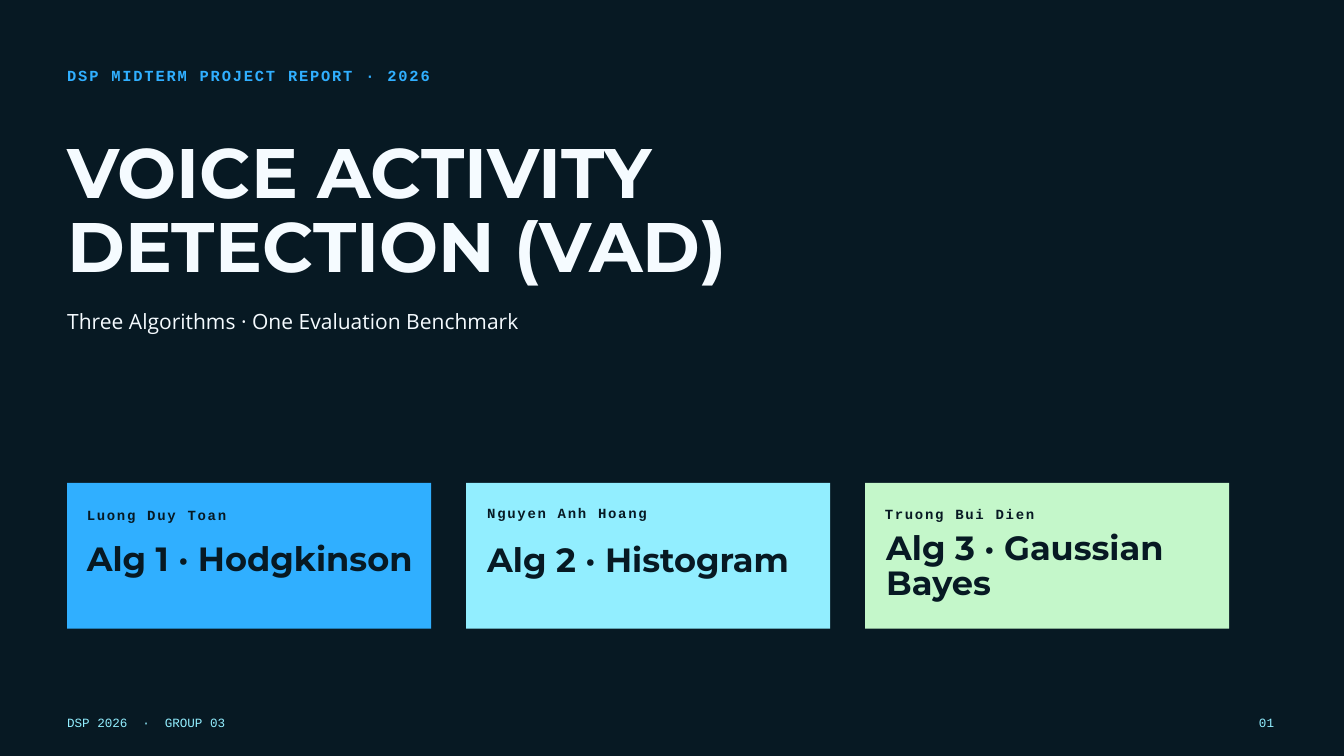
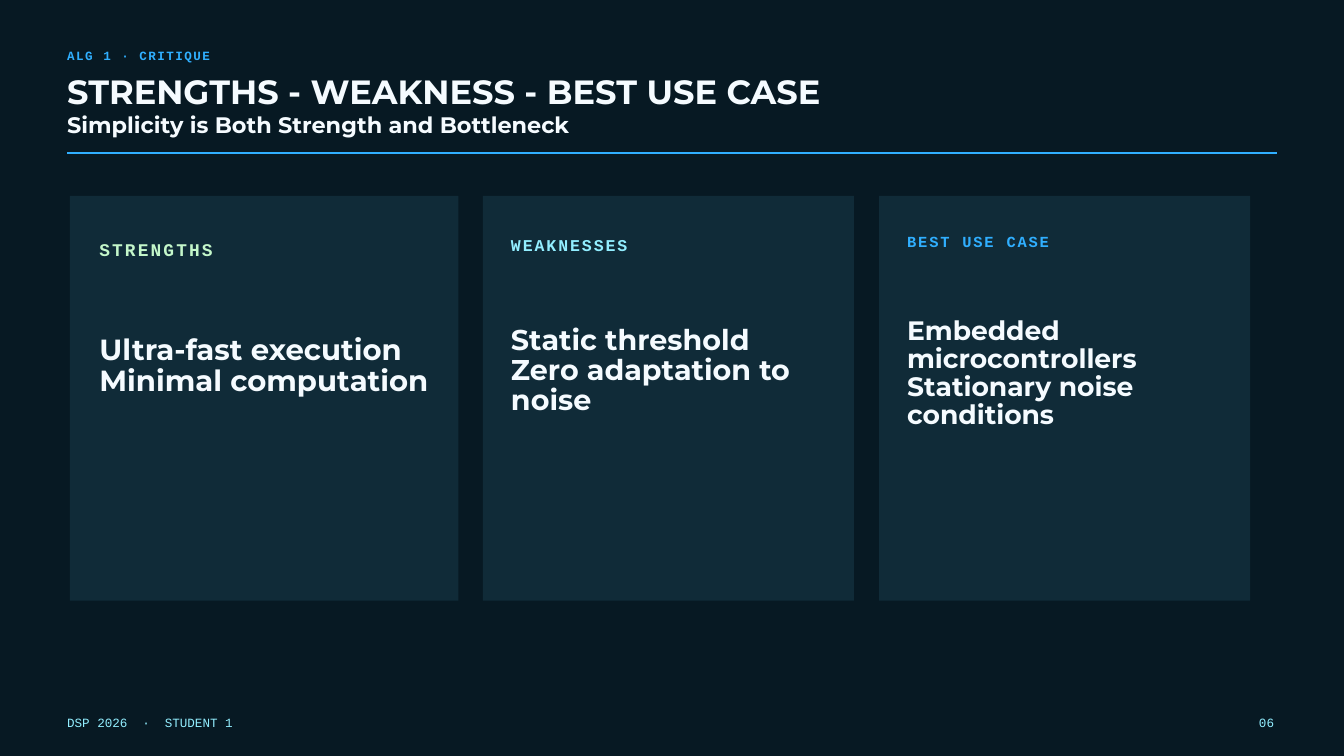
from dataclasses import dataclass

from lxml import etree
from pptx import Presentation
from pptx import util as u
from pptx.dml.color import RGBColor
from pptx.enum import shapes, text
from pptx.oxml.ns import qn

PX = 9525
WIDTH, HEIGHT = 1920, 1080
MARGIN = 96

NIGHT, PANEL, WHITE = "071923", "102B38", "F5FBFF"
BLUE, CYAN, MINT = "30AFFF", "92EEFF", "C4F7CA"

STYLES = {
    "label": {"name": "Courier New", "bold": True, "leading": 1.4, "tracking": 0.12},
    "heading": {"name": "Montserrat", "bold": True, "leading": 1.05, "tracking": 0},
    "body": {"name": "Open Sans", "bold": False, "leading": 1.3, "tracking": 0},
    "footer": {"name": "Courier New", "bold": False, "leading": 1.25, "tracking": 0},
}


@dataclass
class Card:
    left: int
    width: int
    fill: str
    ink: str
    label: str
    label_at: tuple
    label_width: int
    label_size: float
    label_colour: str
    lines: list
    lines_at: tuple
    lines_width: int
    lines_size: float
    rows: int


def px(value):
    return u.Emu(round(value * PX))


def colour(value):
    return RGBColor.from_string(value)


def apply(target, values):
    for name, value in values.items():
        setattr(target, name, value)


def write(box, place, lines, style, size, ink, rows=None, align=text.PP_ALIGN.LEFT):
    look = STYLES[style]
    left, top, width = place
    height = (rows or len(lines)) * size * look["leading"] * 4 / 3
    apply(box, {"left": px(left), "top": px(top), "width": px(width), "height": px(height)})
    frame = box.text_frame
    apply(frame, {
        "margin_left": 0, "margin_top": 0, "margin_right": 0, "margin_bottom": 0,
        "word_wrap": True,
        "auto_size": text.MSO_AUTO_SIZE.SHAPE_TO_FIT_TEXT,
        "vertical_anchor": text.MSO_ANCHOR.TOP,
    })
    for index, line in enumerate(lines):
        para = frame.add_paragraph() if index else frame.paragraphs[0]
        apply(para, {"alignment": align, "line_spacing": u.Pt(size * look["leading"])})
        span = para.add_run()
        span.text = line
        apply(span.font, {"name": look["name"], "bold": look["bold"], "size": u.Pt(size)})
        span.font.color.rgb = colour(ink)
        if look["tracking"]:
            span.font._element.set("spc", str(round(size * look["tracking"] * 100)))


def add_text(page, place, *args, **options):
    write(page.shapes.add_textbox(0, 0, 0, 0), place, *args, **options)


def add_card(page, card, top, height):
    panel = page.shapes.add_shape(
        shapes.MSO_SHAPE.RECTANGLE, px(card.left), px(top), px(card.width), px(height))
    panel.shadow.inherit = False
    panel.fill.solid()
    panel.fill.fore_color.rgb = colour(card.fill)
    panel.line.fill.background()
    dx, dy = card.label_at
    add_text(page, (card.left + dx, top + dy, card.label_width),
             [card.label], "label", card.label_size, card.label_colour)
    dx, dy = card.lines_at
    add_text(page, (card.left + dx, top + dy, card.lines_width),
             card.lines, "heading", card.lines_size, card.ink, rows=card.rows)


def add_rule(page, left, right, y):
    rule = page.shapes.add_connector(
        shapes.MSO_CONNECTOR.STRAIGHT, px(left), px(y), px(right), px(y))
    rule.line.color.rgb = colour(BLUE)
    rule.line.width = u.Pt(2)
    etree.SubElement(rule._element.spPr, qn("a:effectLst"))


def add_footer(page, section, number):
    top = 1021
    add_text(page, (MARGIN, top, 900), [f"DSP 2026  ·  {section}"], "footer", 13.5, CYAN)
    add_text(page, (1740, top, 80), [number], "footer", 13.5, CYAN,
             align=text.PP_ALIGN.RIGHT)


def new_page(deck):
    return deck.slides.add_slide(deck.slide_layouts[5])


def build_cover(deck):
    page = new_page(deck)
    add_text(page, (MARGIN, 90, 800), ["DSP MIDTERM PROJECT REPORT · 2026"],
             "label", 16.5, BLUE)
    write(page.shapes.title, (MARGIN, 199, 980),
          ["VOICE ACTIVITY", "DETECTION (VAD)"], "heading", 75, WHITE)
    add_text(page, (MARGIN, 438, 800), ["Three Algorithms · One Evaluation Benchmark"],
             "body", 22.5, WHITE)
    algorithms = [
        (BLUE, "Luong Duy Toan", (28, 30), 209, "Alg 1 · Hodgkinson", (28, 86), 468, 1),
        (CYAN, "Nguyen Anh Hoang", (30, 27), 237, "Alg 2 · Histogram", (30, 87), 460, 1),
        (MINT, "Truong Bui Dien", (28, 28), 223, "Alg 3 · Gaussian Bayes", (30, 70), 460, 2),
    ]
    for index, (fill, author, author_at, author_width,
                name, name_at, name_width, rows) in enumerate(algorithms):
        card = Card(MARGIN + index * 570, 520, fill, NIGHT,
                    author, author_at, author_width, 15, NIGHT,
                    [name], name_at, name_width, 36, rows)
        add_card(page, card, 690, 208)
    add_footer(page, "GROUP 03", "01")


def build_critique(deck):
    page = new_page(deck)
    add_text(page, (MARGIN, 65, 260), ["ALG 1 · CRITIQUE"], "label", 13.5, BLUE)
    write(page.shapes.title, (MARGIN, 108, 1500),
          ["STRENGTHS - WEAKNESS - BEST USE CASE"], "heading", 36, WHITE)
    add_rule(page, MARGIN, WIDTH - MARGIN, 218)
    add_text(page, (MARGIN, 164, 1500), ["Simplicity is Both Strength and Bottleneck"],
             "heading", 24, WHITE)
    points = [
        (100, 555, "STRENGTHS", (42, 56), 19.1, MINT,
         ["Ultra-fast execution", "Minimal computation"], 200, 471, 31.2, 2),
        (690, 530, "WEAKNESSES", (40, 51), 17.7, CYAN,
         ["Static threshold", "Zero adaptation to noise"], 186, 450, 30.6, 3),
        (1256, 530, "BEST USE CASE", (40, 47), 16.5, BLUE,
         ["Embedded microcontrollers", "Stationary noise conditions"], 174, 450, 28.5, 4),
    ]
    for (left, width, label, label_at, label_size, accent,
         lines, lines_top, lines_width, lines_size, rows) in points:
        card = Card(left, width, PANEL, WHITE,
                    label, label_at, lines_width, label_size, accent,
                    lines, (label_at[0], lines_top), lines_width, lines_size, rows)
        add_card(page, card, 280, 578)
    add_footer(page, "STUDENT 1", "06")


def main():
    deck = Presentation()
    apply(deck, {"slide_width": px(WIDTH), "slide_height": px(HEIGHT)})
    backdrop = deck.slide_master.background.fill
    backdrop.solid()
    backdrop.fore_color.rgb = colour(NIGHT)
    build_cover(deck)
    build_critique(deck)
    deck.save("out.pptx")


if __name__ == "__main__":
    main()
